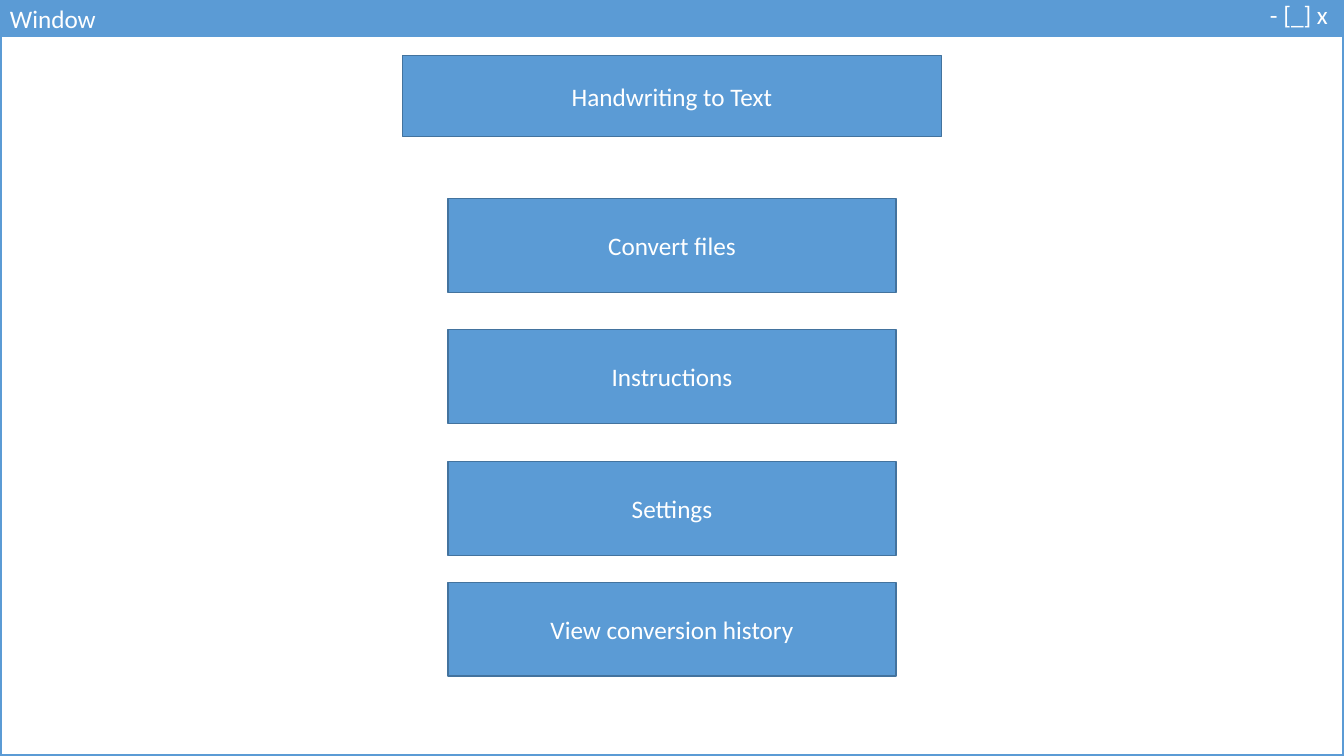
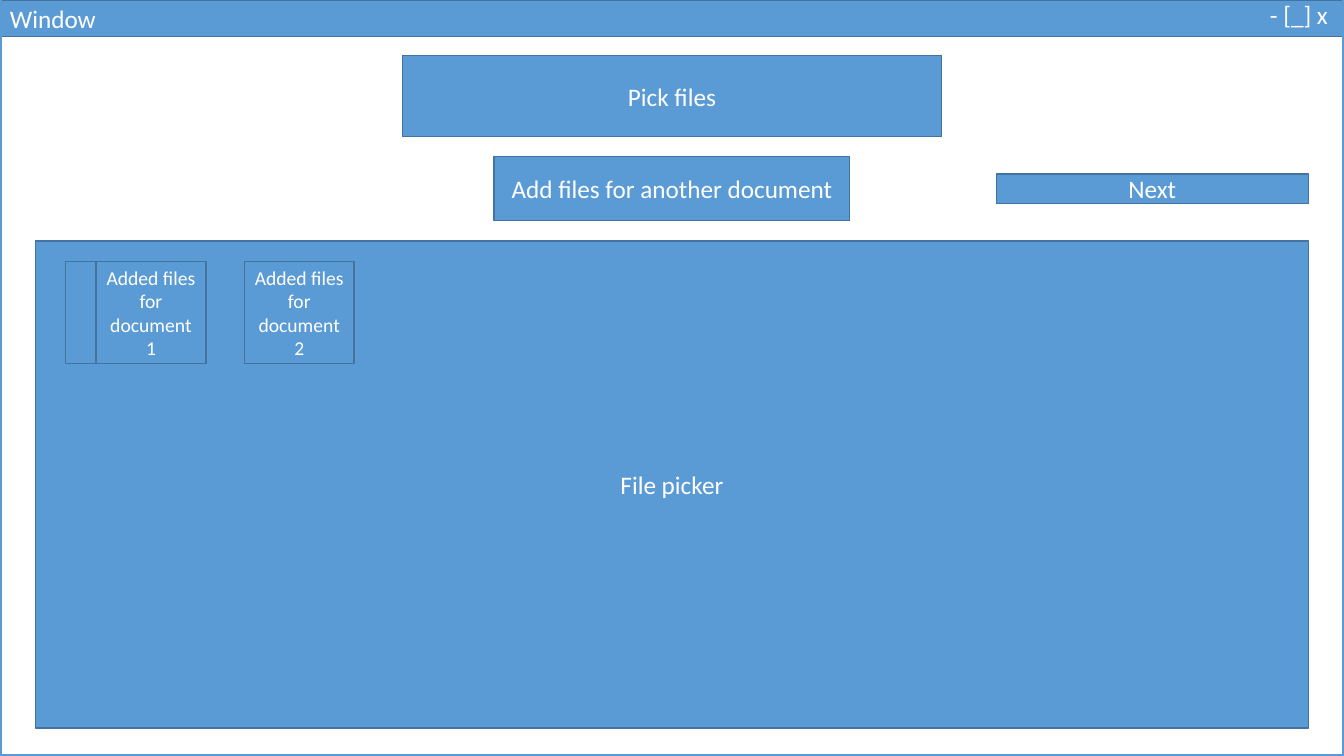
from dataclasses import dataclass

from pptx import Presentation
from pptx.dml.color import RGBColor
from pptx.enum.shapes import MSO_SHAPE
from pptx.enum.text import MSO_ANCHOR, MSO_AUTO_SIZE, PP_ALIGN
from pptx.shapes.autoshape import Shape
from pptx.slide import Slide
from pptx.util import Pt

RECTANGLE = MSO_SHAPE.RECTANGLE
MIDDLE = MSO_ANCHOR.MIDDLE
TOP = MSO_ANCHOR.TOP
CENTER = PP_ALIGN.CENTER
LEFT = PP_ALIGN.LEFT
FIXED_SIZE = MSO_AUTO_SIZE.NONE
FIT_TEXT = MSO_AUTO_SIZE.SHAPE_TO_FIT_TEXT

BLUE = RGBColor(0x5B, 0x9B, 0xD5)
DARK_BLUE = RGBColor(0x43, 0x73, 0x9E)
WHITE = RGBColor(0xFF, 0xFF, 0xFF)

FONT = "Calibri"
TEXT_SIZE = 18
CARD_TEXT_SIZE = 14
PAGE_WIDTH = 960
PAGE_HEIGHT = 540
TITLE_ONLY_LAYOUT = 5


@dataclass(frozen=True)
class Area:
    left: float
    top: float
    width: float
    height: float


@dataclass(frozen=True)
class Button:
    area: Area
    text: str = ""
    size: float = TEXT_SIZE


@dataclass(frozen=True)
class Screen:
    title: str
    bar_line: RGBColor
    buttons: list[Button]


def centered(top: float, width: float, height: float) -> Area:
    return Area((PAGE_WIDTH - width) / 2, top, width, height)


BAR_AREA = Area(0, 0, PAGE_WIDTH, 26.2)
FRAME_AREA = Area(0, -1.4, PAGE_WIDTH, PAGE_HEIGHT + 1.4)
TITLE_AREA = centered(39.5, 385.2, 58.2)
WINDOW_LABELS = [
    Button(Area(0, -1.4, 94.3, 29.1), "Window"),
    Button(Area(900, -4, 60, 29.1), "- [_] x"),
]

MENU_TOPS = {
    "Convert files": 141.8,
    "Instructions": 235.4,
    "Settings": 329.7,
    "View conversion history": 416,
}
CARD_TOP = 187
CARD_WIDTH = 78.5
CARD_HEIGHT = 72.7
CARD_LEFTS = (68.6, 174.5)

SCREENS = [
    Screen(
        "Handwriting to Text",
        BLUE,
        [Button(centered(top, 320, 67), text) for text, top in MENU_TOPS.items()],
    ),
    Screen(
        "Pick files",
        DARK_BLUE,
        [
            Button(centered(172, 909, 348), "File picker"),
            Button(Area(46.8, CARD_TOP, CARD_WIDTH, CARD_HEIGHT)),
            Button(Area(711.7, 124.4, 222.8, 21), "Next"),
            Button(centered(112, 254, 45.5), "Add files for another document"),
            *(
                Button(
                    Area(left, CARD_TOP, CARD_WIDTH, CARD_HEIGHT),
                    f"Added files for document {number}",
                    CARD_TEXT_SIZE,
                )
                for number, left in enumerate(CARD_LEFTS, start=1)
            ),
        ],
    ),
]


def lengths(area: Area) -> tuple[Pt, Pt, Pt, Pt]:
    return Pt(area.left), Pt(area.top), Pt(area.width), Pt(area.height)


def paint(box: Shape, line: RGBColor) -> None:
    box.fill.solid()
    box.fill.fore_color.rgb = BLUE
    box.line.color.rgb = line
    box.line.width = Pt(1)


def write(box: Shape, text: str, size: float, align: PP_ALIGN, anchor: MSO_ANCHOR) -> None:
    frame = box.text_frame
    frame.word_wrap = True
    frame.auto_size = FIXED_SIZE
    frame.vertical_anchor = anchor
    para = frame.paragraphs[0]
    para.text = text
    para.alignment = align
    para.font.name = FONT
    para.font.size = Pt(size)
    para.font.color.rgb = WHITE


def add_rectangle(page: Slide, area: Area) -> Shape:
    box = page.shapes.add_shape(RECTANGLE, *lengths(area))
    box.shadow.inherit = False
    return box


def add_button(page: Slide, button: Button) -> None:
    box = add_rectangle(page, button.area)
    paint(box, DARK_BLUE)
    if button.text:
        write(box, button.text, button.size, CENTER, MIDDLE)


def add_title(page: Slide, text: str) -> None:
    title = page.shapes.title
    title.left, title.top, title.width, title.height = lengths(TITLE_AREA)
    paint(title, DARK_BLUE)
    write(title, text, TEXT_SIZE, CENTER, MIDDLE)


def add_window_bar(page: Slide, line: RGBColor) -> None:
    paint(add_rectangle(page, BAR_AREA), line)
    for label in WINDOW_LABELS:
        box = page.shapes.add_textbox(*lengths(label.area))
        write(box, label.text, label.size, LEFT, TOP)
        box.text_frame.auto_size = FIT_TEXT


def add_window_frame(page: Slide) -> None:
    frame = add_rectangle(page, FRAME_AREA)
    frame.fill.background()
    frame.line.color.rgb = BLUE
    frame.line.width = Pt(2.25)


def main() -> None:
    deck = Presentation()
    deck.slide_width = Pt(PAGE_WIDTH)
    deck.slide_height = Pt(PAGE_HEIGHT)
    for screen in SCREENS:
        page = deck.slides.add_slide(deck.slide_layouts[TITLE_ONLY_LAYOUT])
        add_window_bar(page, screen.bar_line)
        add_title(page, screen.title)
        for button in screen.buttons:
            add_button(page, button)
        add_window_frame(page)
    deck.save("out.pptx")


main()
